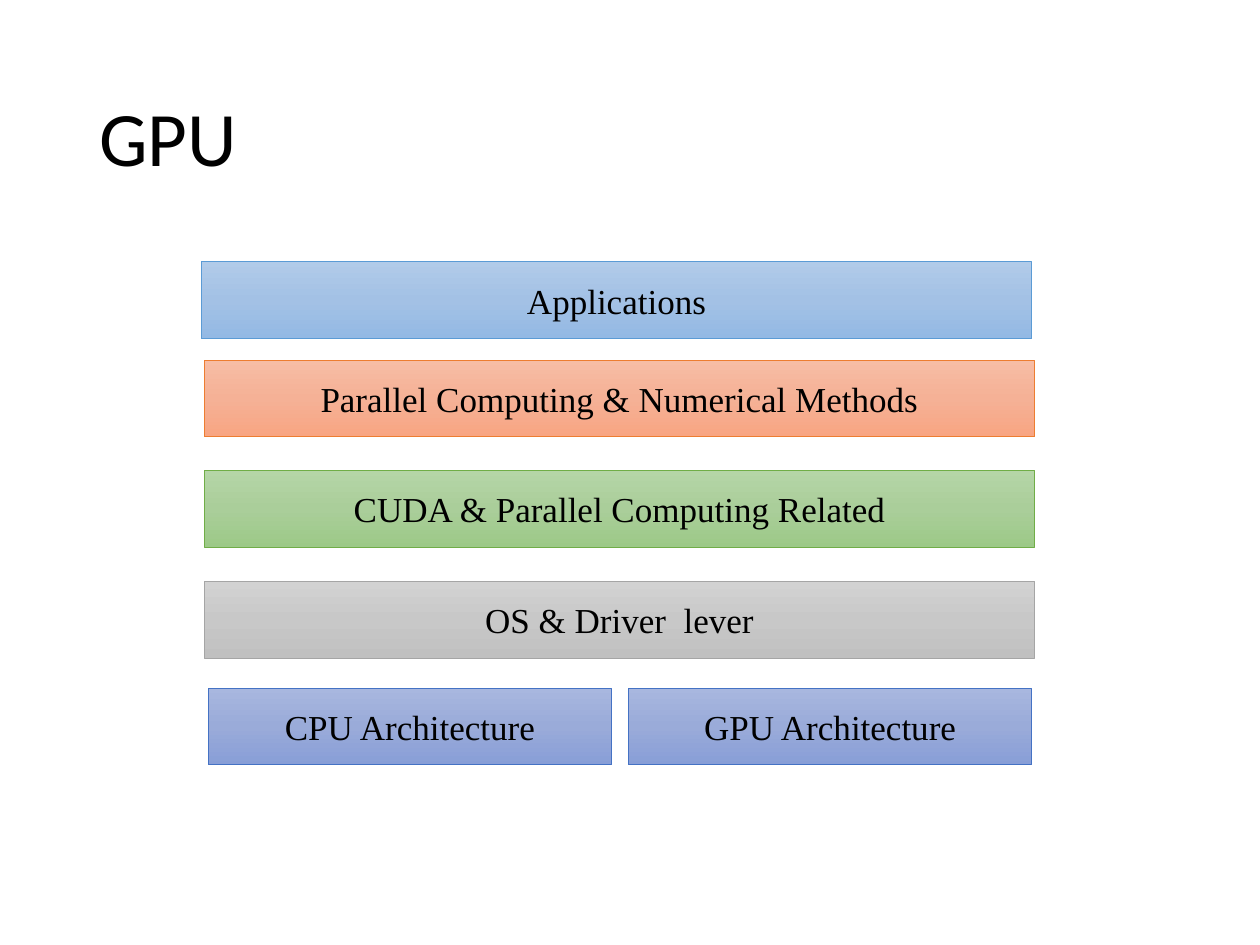
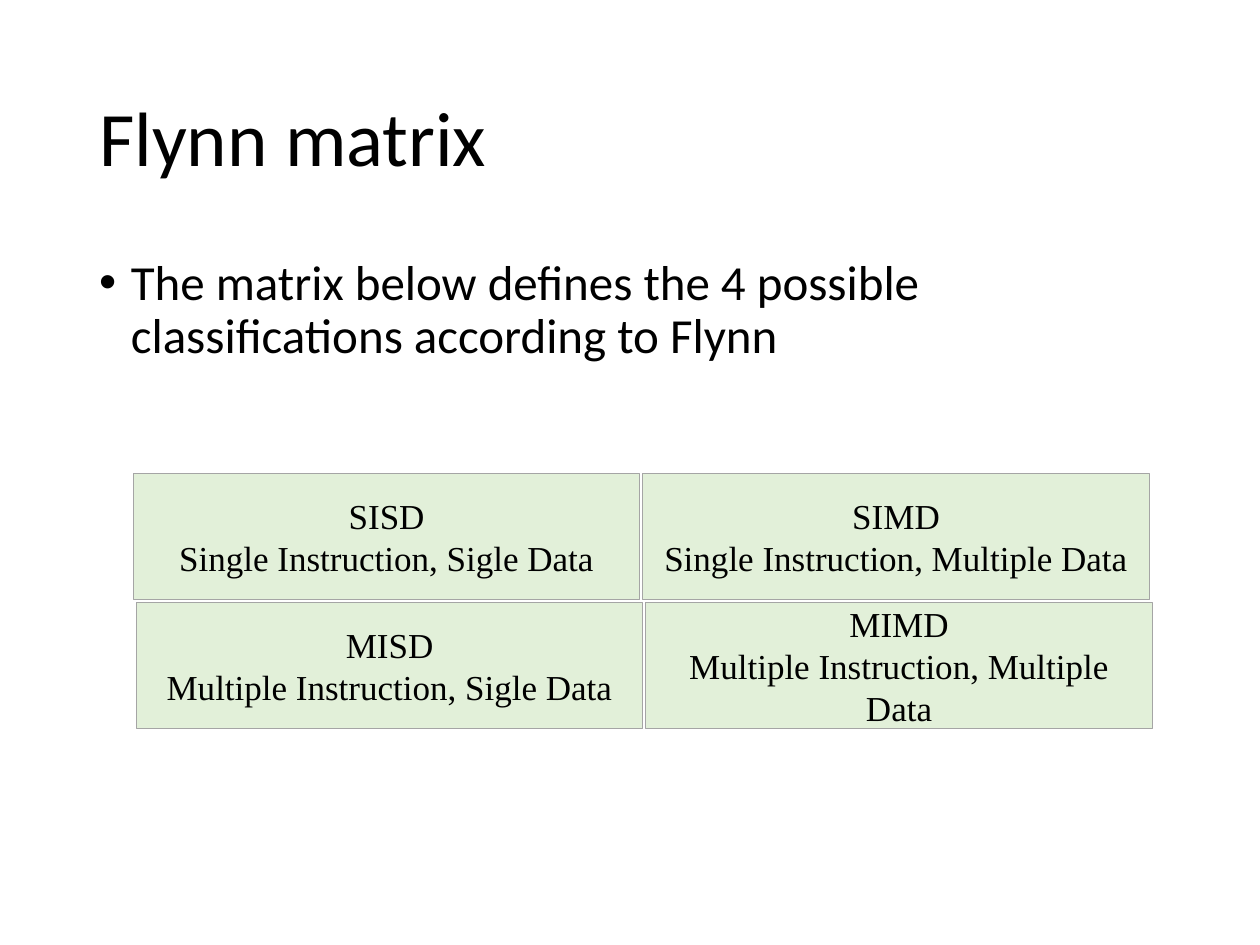
"""Build two slides: the GPU computing stack and the Flynn matrix."""
from copy import deepcopy
from dataclasses import dataclass

from lxml import etree
from pptx import Presentation
from pptx.dml.color import RGBColor
from pptx.enum import shapes, text
from pptx.oxml import ns
from pptx.shapes.autoshape import Shape
from pptx.slide import Slide
from pptx.util import Cm, Pt

BLACK = RGBColor(0x00, 0x00, 0x00)
GREY = RGBColor(0xA5, 0xA5, 0xA5)
PALE_GREEN = RGBColor(0xE2, 0xF0, 0xD9)
HEADING_FONT = "Calibri"
BOX_FONT = "Times New Roman"


@dataclass(frozen=True)
class Palette:
    """Outline and top-to-bottom fill colours of a box."""
    outline: RGBColor
    fills: tuple[RGBColor, ...]


@dataclass(frozen=True)
class Box:
    """A labelled rectangle, measured in centimetres."""
    lines: tuple[str, ...]
    left: float
    top: float
    width: float
    height: float
    palette: Palette


def palette(outline: str, *fills: str) -> Palette:
    """Make a palette from hexadecimal colours."""
    return Palette(RGBColor.from_string(outline),
                   tuple(RGBColor.from_string(fill) for fill in fills))


BLUE = palette("5B9BD5", "B1CBE9", "A3C1E5", "93B9E4")
ORANGE = palette("ED7D31", "F7BDA5", "F5B196", "F8A582")
GREEN = palette("70AD47", "B5D5A7", "AACE9A", "9CC987")
SILVER = palette("A5A5A5", "D2D2D2", "C8C8C8", "C0C0C0")
INDIGO = palette("4472C4", "A8B7DF", "9AABD9", "889ED7")
MATRIX = Palette(GREY, (PALE_GREEN,))

LAYER_WIDTH, LAYER_HEIGHT, HALF_WIDTH = 16.74, 1.55, 8.13
STACK = (
    Box(("Applications",), 4.06, 5.28, LAYER_WIDTH, LAYER_HEIGHT, BLUE),
    Box(("Parallel Computing & Numerical Methods",), 4.12, 7.26,
        LAYER_WIDTH, LAYER_HEIGHT, ORANGE),
    Box(("CUDA & Parallel Computing Related",), 4.12, 9.48,
        LAYER_WIDTH, LAYER_HEIGHT, GREEN),
    Box(("OS & Driver  lever",), 4.12, 11.72, LAYER_WIDTH, LAYER_HEIGHT, SILVER),
    Box(("CPU Architecture",), 4.2, 13.87, HALF_WIDTH, LAYER_HEIGHT, INDIGO),
    Box(("GPU Architecture",), 12.67, 13.87, HALF_WIDTH, LAYER_HEIGHT, INDIGO),
)

CLASSES = (
    (("SISD", "Single Instruction, Sigle Data"),
     ("SIMD", "Single Instruction, Multiple Data")),
    (("MISD", "Multiple Instruction, Sigle Data"),
     ("MIMD", "Multiple Instruction, Multiple Data")),
)
MATRIX_LEFT, MATRIX_TOP = 2.69, 9.55
COLUMN_PITCH, ROW_PITCH, ROW_SHIFT = 10.27, 2.6, 0.06
CELL_WIDTH, CELL_HEIGHT = 10.21, 2.54


def add_run(paragraph, words: str, font_name: str, size: float) -> None:
    """Add a black run to a paragraph."""
    run = paragraph.add_run()
    run.text = words
    run.font.name = font_name
    run.font.size = Pt(size)
    run.font.color.rgb = BLACK


def add_heading(slide: Slide, words: str, top: float, height: float,
                size: float, anchor: text.MSO_ANCHOR):
    """Add a full-width text box and return its paragraph."""
    frame = slide.shapes.add_textbox(Cm(1.75), Cm(top), Cm(21.9), Cm(height)).text_frame
    frame.word_wrap = True
    frame.vertical_anchor = anchor
    paragraph = frame.paragraphs[0]
    paragraph.line_spacing = 0.9
    add_run(paragraph, words, HEADING_FONT, size)
    return paragraph


def add_title(slide: Slide, words: str) -> None:
    """Add the slide title."""
    add_heading(slide, words, 1.02, 3.68, 44, text.MSO_ANCHOR.MIDDLE)


def add_bullet(slide: Slide, words: str) -> None:
    """Add the bulleted body text."""
    paragraph = add_heading(slide, words, 5.08, 12.09, 28, text.MSO_ANCHOR.TOP)
    properties = paragraph._p.get_or_add_pPr()
    properties.set("marL", str(Cm(0.64)))
    properties.set("indent", str(-Cm(0.64)))
    etree.SubElement(properties, ns.qn("a:buFont"), typeface="Arial")
    etree.SubElement(properties, ns.qn("a:buChar"), char="•")


def fill_box(shape: Shape, colours: tuple[RGBColor, ...]) -> None:
    """Fill a shape with one colour or an even downward gradient."""
    if len(colours) == 1:
        shape.fill.solid()
        shape.fill.fore_color.rgb = colours[0]
        return
    shape.fill.gradient()
    shape.fill.gradient_angle = 270
    stop_list = shape._element.spPr.find(".//" + ns.qn("a:gsLst"))
    while len(stop_list) < len(colours):
        stop_list.append(deepcopy(stop_list[0]))
    for index, stop in enumerate(shape.fill.gradient_stops):
        stop.position = index / (len(colours) - 1)
        stop.color.rgb = colours[index]


def add_box(slide: Slide, box: Box) -> None:
    """Draw a labelled rectangle."""
    shape = slide.shapes.add_shape(
        shapes.MSO_SHAPE.RECTANGLE,
        Cm(box.left), Cm(box.top), Cm(box.width), Cm(box.height))
    shape.shadow.inherit = False
    fill_box(shape, box.palette.fills)
    shape.line.color.rgb = box.palette.outline
    shape.line.width = Pt(0.5)
    frame = shape.text_frame
    frame.word_wrap = True
    frame.vertical_anchor = text.MSO_ANCHOR.MIDDLE
    for index, line in enumerate(box.lines):
        paragraph = frame.add_paragraph() if index else frame.paragraphs[0]
        paragraph.alignment = text.PP_ALIGN.CENTER
        add_run(paragraph, line, BOX_FONT, 20)


def build_stack(slide: Slide) -> None:
    """Draw the layers of the GPU computing stack."""
    add_title(slide, "GPU")
    for layer in STACK:
        add_box(slide, layer)


def build_matrix(slide: Slide) -> None:
    """Draw the four classes of the Flynn matrix."""
    add_title(slide, "Flynn matrix")
    add_bullet(slide, "The matrix below defines the 4 possible "
                      "classifications according to Flynn")
    for row, classes in enumerate(CLASSES):
        for column, lines in enumerate(classes):
            left = MATRIX_LEFT + column * COLUMN_PITCH + row * ROW_SHIFT
            top = MATRIX_TOP + row * ROW_PITCH
            add_box(slide, Box(lines, left, top, CELL_WIDTH, CELL_HEIGHT, MATRIX))


def main() -> None:
    """Build and save the presentation."""
    presentation = Presentation()
    presentation.slide_width = Cm(25.4)
    presentation.slide_height = Cm(19.05)
    blank = presentation.slide_layouts[6]
    for build in (build_stack, build_matrix):
        build(presentation.slides.add_slide(blank))
    presentation.save("out.pptx")


if __name__ == "__main__":
    main()
